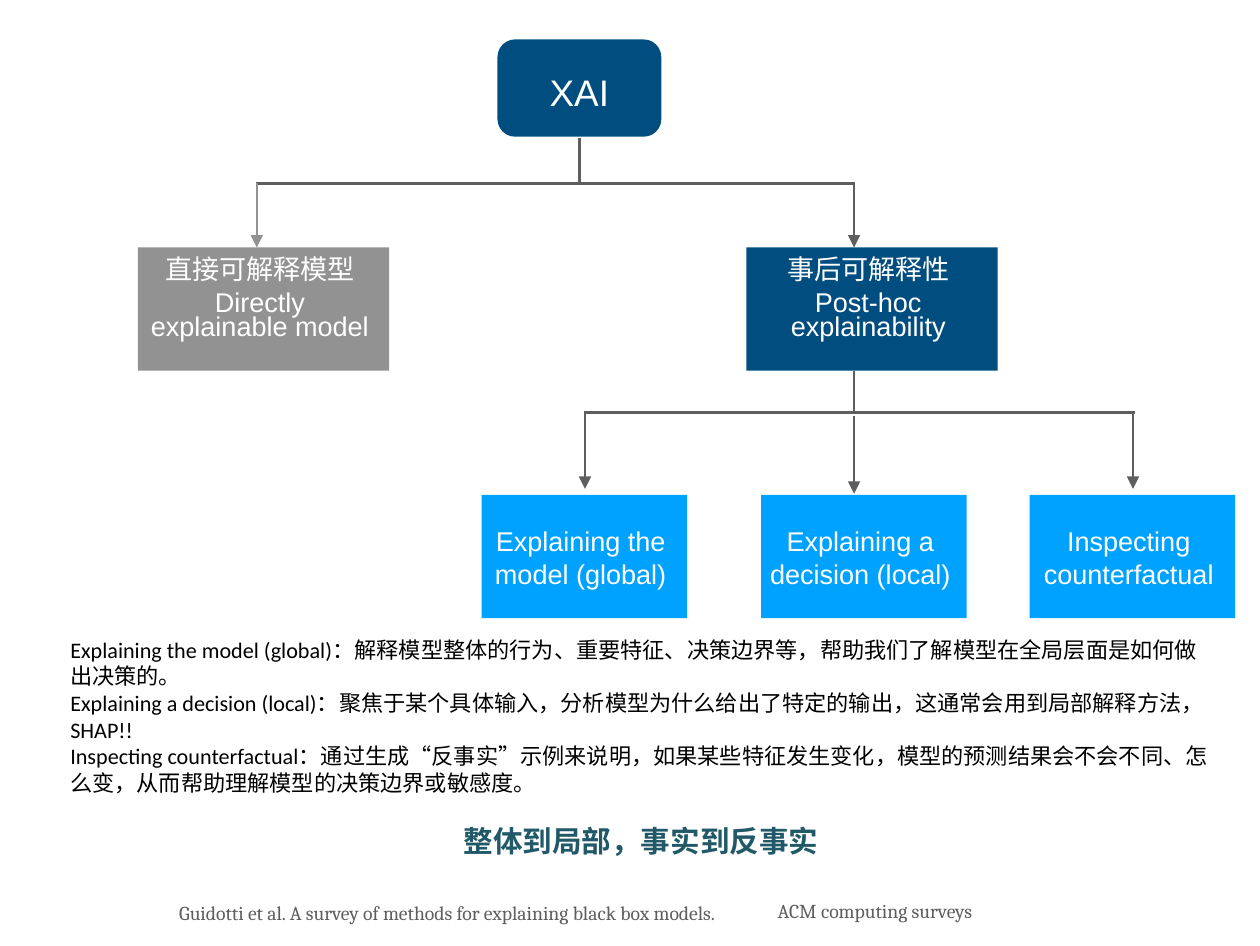
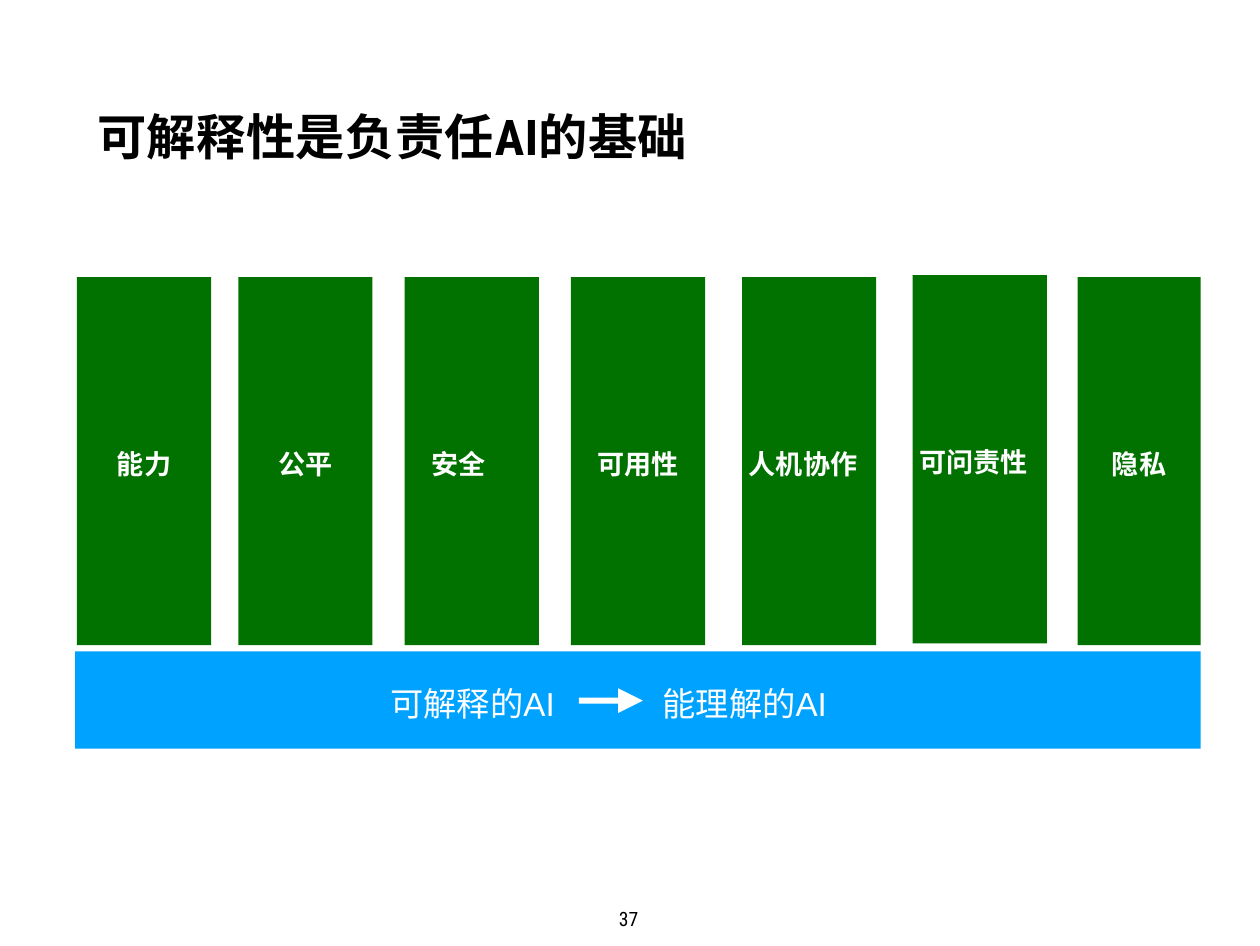
from dataclasses import dataclass
from typing import NamedTuple

from lxml import etree
from pptx import Presentation
from pptx import util as u
from pptx.dml.color import RGBColor
from pptx.enum import shapes, text
from pptx.oxml import ns


@dataclass(frozen=True)
class Style:
    size: float
    font: str
    color: str
    leading: float | None = None
    bold: bool = False
    tracking: float = 0


@dataclass(frozen=True)
class Theme:
    navy: str = "004D80"
    blue: str = "00A2FF"
    green: str = "017100"
    gray: str = "929292"
    slate: str = "5E5E5E"
    white: str = "FFFFFF"
    root: Style = Style(30, "Arial", "FFFFFF", 42)
    node: Style = Style(22, "Arial", "FFFFFF", 27)
    tight_node: Style = Style(22, "Arial", "FFFFFF", 20)
    body: Style = Style(18, "Calibri", "000000")
    takeaway: Style = Style(24, "Calibri", "215968", bold=True)
    citation: Style = Style(16, "Cambria", "5E5E5E", 22.4)
    title: Style = Style(40, "Roboto Condensed", "000000", 56, True, 0.4)
    pillar: Style = Style(22, "Roboto Condensed", "FFFFFF", 30.8, True, 0.2)
    foundation: Style = Style(27, "Arial", "FFFFFF", 37.8)
    page: Style = Style(16, "Roboto Condensed", "000000", 22.4, tracking=0.2)


THEME = Theme()
CENTER = text.PP_ALIGN.CENTER
LEFT = text.PP_ALIGN.LEFT
TOP = text.MSO_ANCHOR.TOP
MIDDLE = text.MSO_ANCHOR.MIDDLE
RECTANGLE = shapes.MSO_SHAPE.RECTANGLE


class Area(NamedTuple):
    left: float
    top: float
    width: float
    height: float


class Insets(NamedTuple):
    left: float = 0
    top: float = 0
    right: float = 0
    bottom: float = 0


class Line(NamedTuple):
    words: str
    style: Style
    align: text.PP_ALIGN = LEFT
    before: float = 0


class Link(NamedTuple):
    x1: float
    y1: float
    x2: float
    y2: float
    color: str = THEME.slate
    arrow: bool = False


class Branch(NamedTuple):
    left: float
    color: str
    lines: tuple[str, str, str]


class Leaf(NamedTuple):
    left: float
    label: str


class Pillar(NamedTuple):
    left: float
    label: str
    width: float = 109
    top: float = 225
    right_inset: float = 0


def points(area: Area) -> list[u.Length]:
    return [u.Pt(value) for value in area]


def write(frame, lines: list[Line], insets: Insets = Insets(), anchor=TOP) -> None:
    frame.word_wrap = True
    frame.vertical_anchor = anchor
    frame.margin_left, frame.margin_top, frame.margin_right, frame.margin_bottom = (
        u.Pt(value) for value in insets
    )
    for index, line in enumerate(lines):
        paragraph = frame.paragraphs[0] if index == 0 else frame.add_paragraph()
        paragraph.alignment = line.align
        if line.before:
            paragraph.space_before = u.Pt(line.before)
        style = line.style
        if style.leading:
            paragraph.line_spacing = u.Pt(style.leading)
        run = paragraph.add_run()
        run.text = line.words
        run.font.size = u.Pt(style.size)
        run.font.name = style.font
        run.font.bold = style.bold
        run.font.color.rgb = RGBColor.from_string(style.color)
        if style.tracking:
            run.font._element.set("spc", str(round(style.tracking * 100)))


def add_text(slide, area: Area, lines: list[Line], insets: Insets = Insets()) -> None:
    write(slide.shapes.add_textbox(*points(area)).text_frame, lines, insets)


def add_block(slide, area: Area, color: str, preset=RECTANGLE):
    block = slide.shapes.add_shape(preset, *points(area))
    block.shadow.inherit = False
    block.fill.solid()
    block.fill.fore_color.rgb = RGBColor.from_string(color)
    block.line.fill.background()
    return block


def add_link(slide, link: Link) -> None:
    ends = [u.Pt(value) for value in link[:4]]
    connector = slide.shapes.add_connector(shapes.MSO_CONNECTOR.STRAIGHT, *ends)
    connector.line.width = u.Pt(2)
    connector.line.color.rgb = RGBColor.from_string(link.color)
    if link.arrow:
        outline = connector.line._get_or_add_ln()
        etree.SubElement(outline, ns.qn("a:tailEnd"), type="triangle", w="lg", len="lg")
    etree.SubElement(connector._element.spPr, ns.qn("a:effectLst"))


def build_taxonomy(slide) -> None:
    root_x, post_hoc_x, direct_x = 470.5, 693.5, 208.5
    upper_bar, lower_bar = 149, 335
    global_x, counterfactual_x = 475, 920
    links = [
        Link(root_x, 112, root_x, upper_bar + 1),
        Link(direct_x - 1, upper_bar, post_hoc_x + 1, upper_bar),
        Link(direct_x, upper_bar, direct_x, 201, THEME.gray, True),
        Link(post_hoc_x, upper_bar, post_hoc_x, 201, arrow=True),
        Link(post_hoc_x, 301, post_hoc_x, lower_bar + 1),
        Link(global_x - 1, lower_bar, counterfactual_x + 2, lower_bar),
        Link(global_x, lower_bar, global_x, 397, arrow=True),
        Link(counterfactual_x, lower_bar, counterfactual_x, 397, arrow=True),
        Link(post_hoc_x, lower_bar + 3, post_hoc_x, 401, arrow=True),
    ]
    for link in links:
        add_link(slide, link)

    root = add_block(
        slide, Area(404, 32, 133, 79), THEME.navy, shapes.MSO_SHAPE.ROUNDED_RECTANGLE
    )
    root.adjustments[0] = 0.18
    write(root.text_frame, [Line("XAI", THEME.root, CENTER)], anchor=MIDDLE)

    branches = [
        Branch(112, THEME.gray, ("直接可解释模型", "Directly", "explainable model")),
        Branch(606, THEME.navy, ("事后可解释性", "Post-hoc", "explainability")),
    ]
    branch_styles = (THEME.node, THEME.node, THEME.tight_node)
    for branch in branches:
        block = add_block(slide, Area(branch.left, 201, 204, 100), branch.color)
        lines = [
            Line(words, style, CENTER)
            for words, style in zip(branch.lines, branch_styles)
        ]
        write(block.text_frame, lines, Insets(top=3, right=6))

    leaves = [
        Leaf(391, "Explaining the model (global)"),
        Leaf(618, "Explaining a decision (local)"),
        Leaf(836, "Inspecting counterfactual"),
    ]
    for leaf in leaves:
        block = add_block(slide, Area(leaf.left, 402, 167, 100), THEME.blue)
        label = Line(leaf.label, THEME.node, CENTER)
        write(block.text_frame, [label], Insets(right=6), MIDDLE)

    definitions = [
        "Explaining the model (global)：解释模型整体的行为、重要特征、决策边界等，"
        "帮助我们了解模型在全局层面是如何做出决策的。",
        "Explaining a decision (local)：聚焦于某个具体输入，分析模型为什么给出了特定的输出，"
        "这通常会用到局部解释方法，SHAP!!",
        "Inspecting counterfactual：通过生成“反事实”示例来说明，如果某些特征发生变化，"
        "模型的预测结果会不会不同、怎么变，从而帮助理解模型的决策边界或敏感度。",
    ]
    body = [Line(definition, THEME.body) for definition in definitions]
    body.append(Line("整体到局部，事实到反事实", THEME.takeaway, CENTER, 22))
    add_text(slide, Area(50, 513, 941, 196), body, Insets(7.2, 3.6, 7.2, 3.6))

    survey = "Guidotti et al. A survey of methods for explaining black box models."
    add_text(slide, Area(145.5, 728, 480, 22), [Line(survey, THEME.citation)])
    journal = Line("ACM computing surveys", THEME.citation)
    add_text(slide, Area(631.5, 726.5, 225, 22), [journal])


def build_pillars(slide) -> None:
    title = Line("可解释性是负责任AI的基础", THEME.title)
    add_text(slide, Area(79, 78.5, 819, 56), [title])

    pillars = [
        Pillar(62.5, "能力"),
        Pillar(193.5, "公平"),
        Pillar(328.5, "安全", right_inset=21),
        Pillar(463.5, "可用性"),
        Pillar(602.5, "人机协作", right_inset=10),
        Pillar(741, "可问责性", top=223.5, right_inset=10),
        Pillar(875, "隐私", width=100),
    ]
    for pillar in pillars:
        area = Area(pillar.left, pillar.top, pillar.width, 299)
        block = add_block(slide, area, THEME.green)
        label = Line(pillar.label, THEME.pillar, CENTER)
        write(block.text_frame, [label], Insets(right=pillar.right_inset), MIDDLE)

    add_block(slide, Area(61, 529, 914, 79), THEME.blue)
    for left, words in ((317, "可解释的AI"), (538, "能理解的AI")):
        add_text(slide, Area(left, 549.5, 152, 38), [Line(words, THEME.foundation)])
    arrow = add_block(
        slide, Area(470, 559, 52, 20), THEME.white, shapes.MSO_SHAPE.RIGHT_ARROW
    )
    arrow.adjustments[0] = 0.25
    arrow.adjustments[1] = 1

    add_text(slide, Area(502.5, 733.5, 25, 22), [Line("37", THEME.page)])


def main() -> None:
    deck = Presentation()
    deck.slide_width, deck.slide_height = u.Pt(1023.12), u.Pt(768.24)
    blank = deck.slide_layouts[6]
    for build in (build_taxonomy, build_pillars):
        build(deck.slides.add_slide(blank))
    deck.save("out.pptx")


if __name__ == "__main__":
    main()
